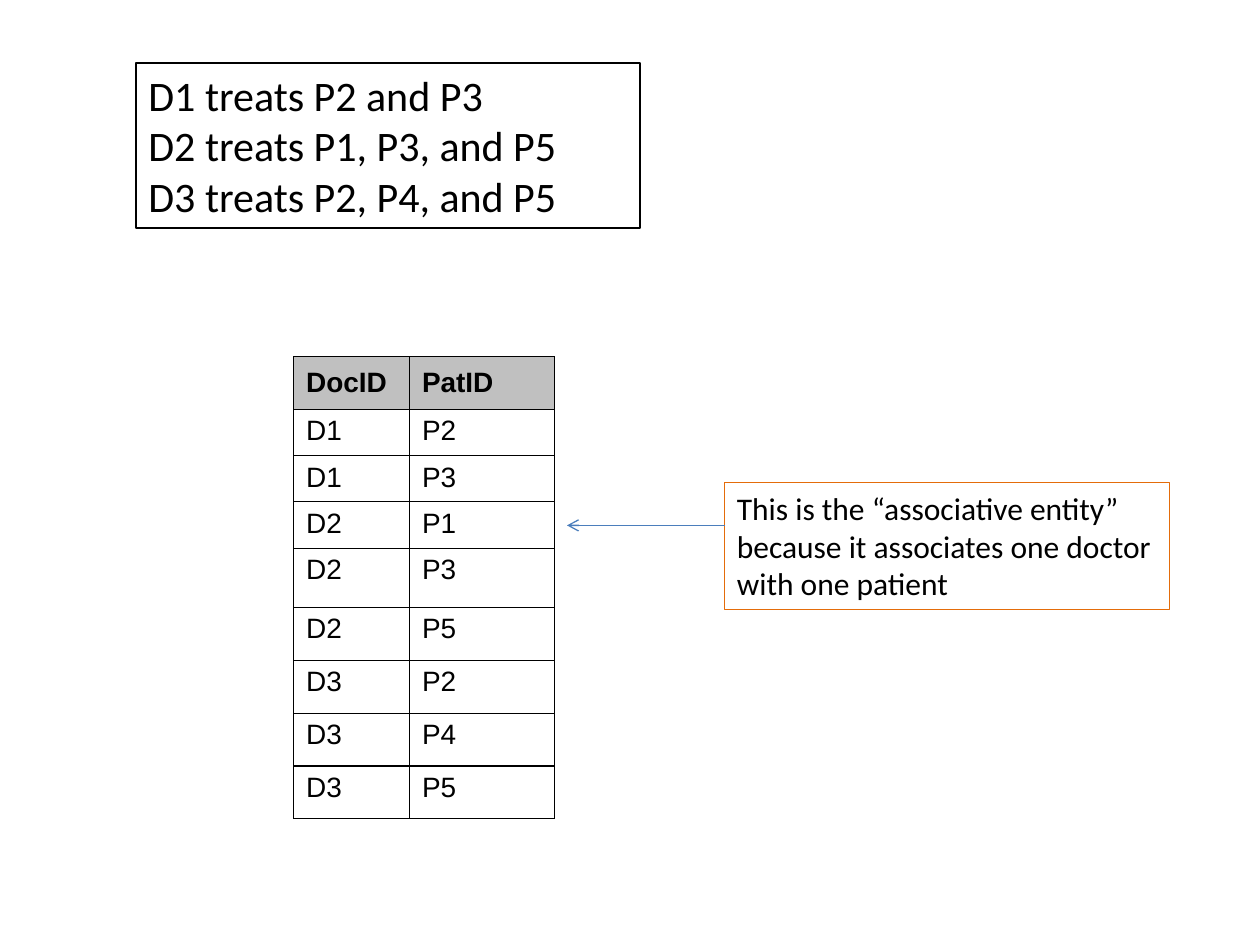
import pptx
import pptx.util
import pptx.dml.color
import pptx.enum.shapes
import pptx.enum.text
import pptx.oxml.ns
import lxml.etree

Inches = pptx.util.Inches
Pt = pptx.util.Pt
RGBColor = pptx.dml.color.RGBColor
qn = pptx.oxml.ns.qn
Anchor = pptx.enum.text.MSO_ANCHOR

BLACK = RGBColor(0x00, 0x00, 0x00)
WHITE = RGBColor(0xFF, 0xFF, 0xFF)
GRAY = RGBColor(0xC0, 0xC0, 0xC0)
ORANGE = RGBColor(0xE4, 0x6C, 0x0A)
BLUE = RGBColor(0x4B, 0x7E, 0xBC)


class SlideBuilder:
    """Holds the text styles and the current slide."""

    styles = {
        "statement": {"name": "Calibri", "size": Pt(24)},
        "note": {"name": "Calibri", "size": Pt(18)},
        "header": {"name": "Arial", "size": Pt(16), "bold": True},
        "cell": {"name": "Arial", "size": Pt(16), "bold": False},
    }

    def __init__(self, slide):
        """Start drawing on the given slide."""
        self.slide = slide

    def add_lines(self, frame, lines, style):
        """Add one left-aligned paragraph per line in a named style."""
        for index, line in enumerate(lines):
            para = frame.paragraphs[0] if index == 0 else frame.add_paragraph()
            para.alignment = pptx.enum.text.PP_ALIGN.LEFT
            span = para.add_run()
            span.text = line
            span.font.color.rgb = BLACK
            for name, value in self.styles[style].items():
                setattr(span.font, name, value)

    def text_box(self, place, lines, style, color, weight, wrap):
        """Add an outlined box of text that grows with its content."""
        box = self.slide.shapes.add_shape(
            pptx.enum.shapes.MSO_SHAPE.RECTANGLE, *map(Inches, place))
        box.shadow.inherit = False
        box.fill.background()
        box.line.color.rgb = color
        box.line.width = Pt(weight)
        layout = {"word_wrap": wrap, "vertical_anchor": Anchor.TOP,
                  "auto_size": pptx.enum.text.MSO_AUTO_SIZE.SHAPE_TO_FIT_TEXT}
        for name, value in layout.items():
            setattr(box.text_frame, name, value)
        self.add_lines(box.text_frame, lines, style)

    def border(self, cell, color, weight):
        """Draw a line on all four sides of a cell."""
        properties = cell._tc.get_or_add_tcPr()
        for index, side in enumerate(("a:lnL", "a:lnR", "a:lnT", "a:lnB")):
            edge = lxml.etree.Element(qn(side), w=str(Pt(weight)))
            fill = lxml.etree.SubElement(edge, qn("a:solidFill"))
            lxml.etree.SubElement(fill, qn("a:srgbClr"), val=str(color))
            properties.insert(index, edge)

    def table(self, place, widths, heights, rows):
        """Add a bordered table whose first row is a shaded header."""
        frame = self.slide.shapes.add_table(
            len(rows), len(widths), *map(Inches, place))
        table = frame.table
        table.first_row = table.horz_banding = False
        for column, width in zip(table.columns, widths):
            column.width = Inches(width)
        for row, height in zip(table.rows, heights):
            row.height = Inches(height)
        frame.height = Inches(place[3])
        for row_index, values in enumerate(rows):
            header = row_index == 0
            for column_index, value in enumerate(values):
                cell = table.cell(row_index, column_index)
                cell.fill.solid()
                cell.fill.fore_color.rgb = GRAY if header else WHITE
                cell.vertical_anchor = Anchor.MIDDLE if header else Anchor.TOP
                self.add_lines(cell.text_frame, [value], "header" if header else "cell")
                self.border(cell, BLACK, 0.75)

    def arrow(self, start, end, color, weight):
        """Add a straight line with an open arrowhead at its end."""
        arrow = self.slide.shapes.add_connector(
            pptx.enum.shapes.MSO_CONNECTOR.STRAIGHT, *map(Inches, start + end))
        arrow.line.color.rgb = color
        arrow.line.width = Pt(weight)
        properties = arrow._element.spPr
        line = properties.find(qn("a:ln"))
        lxml.etree.SubElement(line, qn("a:tailEnd"), type="arrow")
        lxml.etree.SubElement(properties, qn("a:effectLst"))


def main():
    """Build the slide and save the deck."""
    deck = pptx.Presentation()
    deck.slide_width, deck.slide_height = Inches(10), Inches(7.5)
    page = SlideBuilder(deck.slides.add_slide(deck.slide_layouts[6]))

    treatments = {"D1": ["P2", "P3"], "D2": ["P1", "P3", "P5"],
                  "D3": ["P2", "P4", "P5"]}
    pairs = [(doctor, patient) for doctor, patients in treatments.items()
             for patient in patients]

    page.text_box(
        (1.08, 0.5, 4, 1.31),
        ["D1 treats P2 and P3", "D2 treats P1, P3, and P5", "D3 treats P2, P4, and P5"],
        "statement", BLACK, 1.5, True)
    page.table((2.33, 2.83, 2.07, 3.66), (0.92, 1.15),
               [0.42] + [0.29] * 3 + [0.47] + [0.42] * 4,
               [("DocID", "PatID")] + pairs)
    page.text_box(
        (5.75, 3.83, 3.53, 1.01),
        ["This is the “associative entity”", "because it associates one doctor",
         "with one patient"],
        "note", ORANGE, 0.75, False)
    page.arrow((5.75, 4.17), (4.5, 4.17), BLUE, 0.75)
    deck.save("out.pptx")


main()
